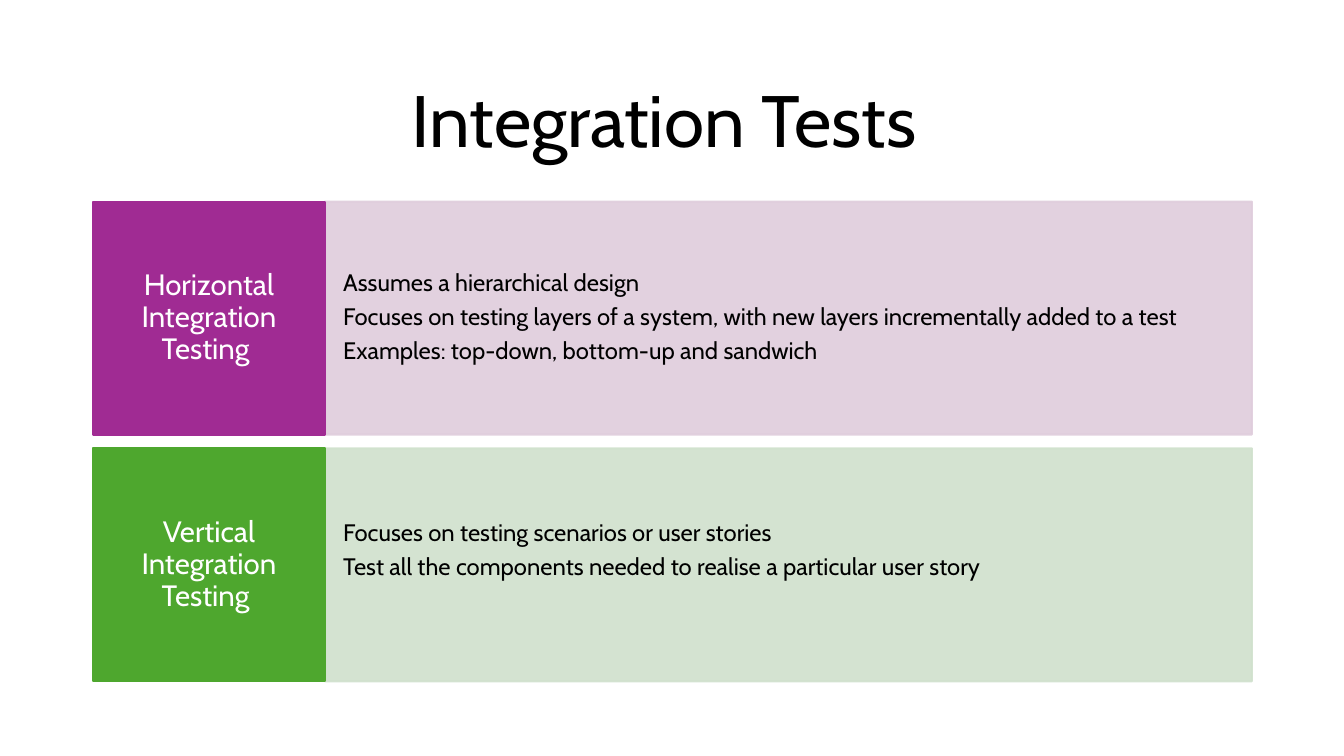
from lxml import etree
from pptx import Presentation
from pptx.dml.color import RGBColor
from pptx.enum.shapes import MSO_SHAPE
from pptx.enum.text import MSO_ANCHOR, PP_ALIGN
from pptx.oxml.ns import qn
from pptx.util import Cm, Pt

RECT = MSO_SHAPE.RECTANGLE
MIDDLE = MSO_ANCHOR.MIDDLE
LEFT, CENTER = PP_ALIGN.LEFT, PP_ALIGN.CENTER

COLORS = {
    "black": "000000", "white": "FFFFFF",
    "purple": "A02B93", "mauve": "DFCDDC",
    "green": "4EA72E", "sage": "D0E1CD",
}


class Deck:
    font = "Cabin"

    def __init__(self, prs):
        self.slide = prs.slides.add_slide(prs.slide_layouts[6])

    def color(self, name):
        return RGBColor.from_string(COLORS[name])

    def text(self, shape, lines, size, color, align, pads):
        """Fill a shape with one run per line; pads are side, top, bottom."""
        frame = shape.text_frame
        frame.word_wrap = True
        frame.vertical_anchor = MIDDLE
        side, top, bottom = pads
        frame.margin_left = frame.margin_right = Cm(side)
        frame.margin_top, frame.margin_bottom = Cm(top), Cm(bottom)
        for i, line in enumerate(lines):
            para = frame.add_paragraph() if i else frame.paragraphs[0]
            para.alignment = align
            para.line_spacing = 0.9
            para.space_after = Pt(round(size * 0.35))
            run = para.add_run()
            run.text = line
            run.font.name = self.font
            run.font.size = Pt(size)
            run.font.color.rgb = self.color(color)

    def title(self, text, box):
        shape = self.slide.shapes.add_textbox(*map(Cm, box))
        self.text(shape, [text], 52, "black", CENTER, (0.25, 0.13, 0.13))

    def block(self, box, color, alpha=100):
        shape = self.slide.shapes.add_shape(RECT, *map(Cm, box))
        shape.shadow.inherit = False
        shape.line.width = Pt(1.5)
        for fill in (shape.fill, shape.line.fill):
            fill.solid()
            fill.fore_color.rgb = self.color(color)
        if alpha < 100:
            for node in shape.element.spPr.iter(qn("a:srgbClr")):
                etree.SubElement(node, qn("a:alpha"), val=str(alpha * 1000))
        return shape

    def row(self, top, name, lines, dark, pale, lift):
        """Draw a pale panel of notes with a dark label on its left."""
        panel = self.block((EDGE + LABEL, top, WIDE - LABEL, HIGH), pale, 90)
        self.text(panel, lines, 17, "black", LEFT, (0.46, 1.5, 1.5 + lift))
        label = self.block((EDGE, top, LABEL, HIGH), dark)
        self.text(label, [name], 21, "white", CENTER, (0.3, 0.58, 0.58))


# Layout in centimetres
EDGE, WIDE, LABEL = 2.34, 29.21, 5.85
TOP, HIGH, STEP = 5.08, 5.87, 6.22

# Label, notes, dark colour, pale colour, extra space below the notes
ROWS = [
    ("Horizontal Integration Testing ",
     ["Assumes a hierarchical design",
      "Focuses on testing layers of a system, with new layers "
      "incrementally added to a test",
      "Examples: top-down, bottom-up and sandwich"],
     "purple", "mauve", 0),
    ("Vertical Integration Testing ",
     ["Focuses on testing scenarios or user stories",
      "Test all the components needed to realise a particular user story"],
     "green", "sage", 0.7),
]


def main():
    prs = Presentation()
    prs.slide_width, prs.slide_height = Cm(33.87), Cm(19.05)
    deck = Deck(prs)

    # Heading
    deck.title("Integration Tests ", (EDGE, 1.55, WIDE, 3.15))

    # One row per kind of test
    for i, row in enumerate(ROWS):
        deck.row(TOP + i * STEP, *row)

    prs.save("out.pptx")


if __name__ == "__main__":
    main()
